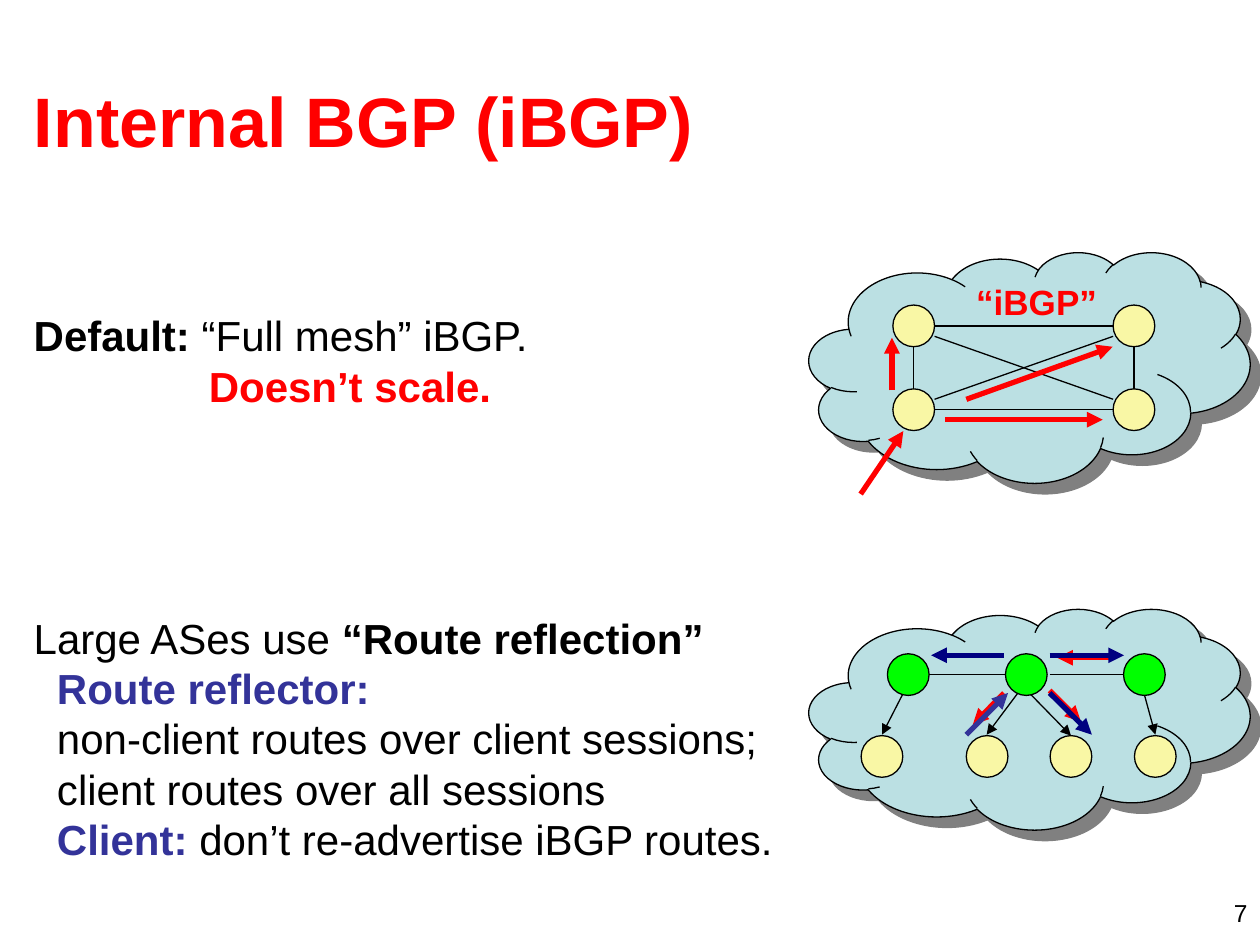
from itertools import combinations

from lxml import etree
from pptx import Presentation
from pptx.dml.color import RGBColor
from pptx.enum import shapes, text
from pptx.oxml.ns import qn
from pptx.util import Cm, Pt

COLORS = {"red": "FF0000", "black": "000000", "indigo": "333399", "navy": "000080",
          "cloud": "BBE0E3", "shadow": "808080", "router": "F9F7A5",
          "reflector": "00FF00"}
FONT = "Arial"
RADIUS = 0.42

# Lengths are in cm; each paragraph is (runs, left indent, space before in lines),
# each run is (text, colour, bold)
BODY = [
    ([("Default:", "black", True), (" “Full mesh” iBGP.", "black", False)], 0, 0),
    ([("Doesn’t scale.", "red", True)], 3.53, 0),
    ([("Large ASes use ", "black", False), ("“Route reflection”", "black", True)], 0, 4),
    ([("Route reflector:\n", "indigo", True),
      ("non-client routes over client sessions;\nclient routes over all sessions",
       "black", False)], 0.47, 0),
    ([("Client:", "indigo", True),
      (" don’t re-advertise iBGP routes.", "black", False)], 0.47, 0),
]
LINE_HEIGHT = 28.8

CLOUDS = [(16.31, 5.08, 8.89, 4.65), (16.31, 12.27, 8.89, 4.45)]
MESH = [(x, y) for y in (6.57, 8.26) for x in (18.42, 22.86)]
REFLECTORS = [(x, 13.6) for x in (18.31, 20.69, 23.07)]
CLIENTS = [(x, 15.25) for x in (17.78, 19.9, 21.59, 23.29)]

REFLECTOR_LINKS = [(18.62, 13.59, 20.32, 13.59), (21.16, 13.59, 22.66, 13.59)]
CLIENT_LINKS = [(18.21, 13.97, 17.78, 14.81), (20.52, 13.97, 19.89, 14.81),
                (20.75, 13.97, 21.59, 14.83), (23.06, 13.97, 23.29, 14.81)]
ROUTES = [
    ("red", [(22.43, 13.26, 21.31, 13.26), (21.16, 13.92, 21.79, 14.55),
             (20.24, 13.97, 19.61, 14.61), (17.35, 9.96, 18.21, 8.69),
             (19.05, 8.46, 22.23, 8.46), (17.98, 7.87, 17.98, 6.81),
             (19.48, 8.05, 22.43, 6.99)]),
    ("indigo", [(19.48, 14.81, 20.32, 13.97)]),
    ("navy", [(20.24, 13.21, 18.77, 13.21), (21.16, 13.21, 22.66, 13.21),
              (21.16, 13.97, 22.01, 14.81)]),
]


def rgb(name):
    return RGBColor.from_string(COLORS[name])


def add_text(p, content, size, color="black", bold=False):
    """Add a formatted run for each line, with line breaks between them."""
    for i, line in enumerate(content.split("\n")):
        if i:
            p.add_line_break()
        if line:
            r = p.add_run()
            r.text = line
            r.font.name, r.font.size, r.font.bold = FONT, Pt(size), bold
            r.font.color.rgb = rgb(color)


def add_box(s, box, wrap=True):
    tf = s.shapes.add_textbox(*map(Cm, box)).text_frame
    tf.word_wrap = wrap
    return tf


def add_preset(s, kind, box, fill):
    sp = s.shapes.add_shape(kind, *map(Cm, box))
    sp.shadow.inherit = False
    sp.fill.solid()
    sp.fill.fore_color.rgb = rgb(fill)
    sp.line.color.rgb = rgb("black")
    sp.line.width = Pt(0.75)
    return sp


def add_cloud(s, box):
    sp = add_preset(s, shapes.MSO_SHAPE.CLOUD, box, "cloud")
    effects = sp._element.spPr.find(qn("a:effectLst"))
    shadow = etree.SubElement(effects, qn("a:outerShdw"), dist=str(Pt(8.5)),
                              dir="2700000", algn="ctr", rotWithShape="0")
    etree.SubElement(shadow, qn("a:srgbClr"), val=COLORS["shadow"])


def add_nodes(s, centres, fill):
    for x, y in centres:
        add_preset(s, shapes.MSO_SHAPE.OVAL,
                   (x - RADIUS, y - RADIUS, 2 * RADIUS, 2 * RADIUS), fill)


def add_line(s, ends, color="black", width=0.75, arrow=False):
    line = s.shapes.add_connector(shapes.MSO_CONNECTOR.STRAIGHT, *map(Cm, ends))
    line.line.color.rgb = rgb(color)
    line.line.width = Pt(width)
    if arrow:
        etree.SubElement(line.line._get_or_add_ln(), qn("a:tailEnd"), type="triangle")
    etree.SubElement(line._element.spPr, qn("a:effectLst"))


def mesh_link(a, b):
    """Trim a link to the node edges; diagonals leave half a radius off centre."""
    dx, dy = ((q > p) - (q < p) for p, q in zip(a, b))
    ox = dx * RADIUS
    oy = dy * RADIUS * (0.5 if dx else 1)
    return a[0] + ox, a[1] + oy, b[0] - ox, b[1] - oy


def main():
    prs = Presentation()
    prs.slide_width, prs.slide_height = Cm(25.4), Cm(19.05)
    s = prs.slides.add_slide(prs.slide_layouts[5])

    title = s.shapes.title
    title.left, title.top, title.width, title.height = map(Cm, (0.43, 0.81, 24.33, 3.18))
    title.text_frame.vertical_anchor = text.MSO_ANCHOR.MIDDLE
    p = title.text_frame.paragraphs[0]
    p.alignment = text.PP_ALIGN.LEFT
    add_text(p, "Internal BGP (iBGP)", 40, "red", True)

    for box in CLOUDS:
        add_cloud(s, box)
    for a, b in combinations(MESH, 2):
        add_line(s, mesh_link(a, b))
    for ends in REFLECTOR_LINKS:
        add_line(s, ends)
    for ends in CLIENT_LINKS:
        add_line(s, ends, arrow=True)
    add_nodes(s, MESH + CLIENTS, "router")
    add_nodes(s, REFLECTORS, "reflector")
    label = add_box(s, (19.43, 5.54, 2.95, 1.12), wrap=False)
    add_text(label.paragraphs[0], "“iBGP”", 20, "red", True)
    for color, arrows in ROUTES:
        for ends in arrows:
            add_line(s, ends, color, 3, arrow=True)

    tf = add_box(s, (0.43, 6.12, 17.35, 11.43))
    for i, (runs, indent, gap) in enumerate(BODY):
        p = tf.add_paragraph() if i else tf.paragraphs[0]
        p.line_spacing = Pt(LINE_HEIGHT)
        p.space_before = Pt(gap * LINE_HEIGHT)
        p._p.get_or_add_pPr().set("marL", str(Cm(indent)))
        for content, color, bold in runs:
            add_text(p, content, 24, color, bold)

    p = add_box(s, (19.48, 17.98, 5.92, 0.64)).paragraphs[0]
    p.alignment = text.PP_ALIGN.RIGHT
    add_text(p, "7", 14)

    prs.save("out.pptx")


if __name__ == "__main__":
    main()
